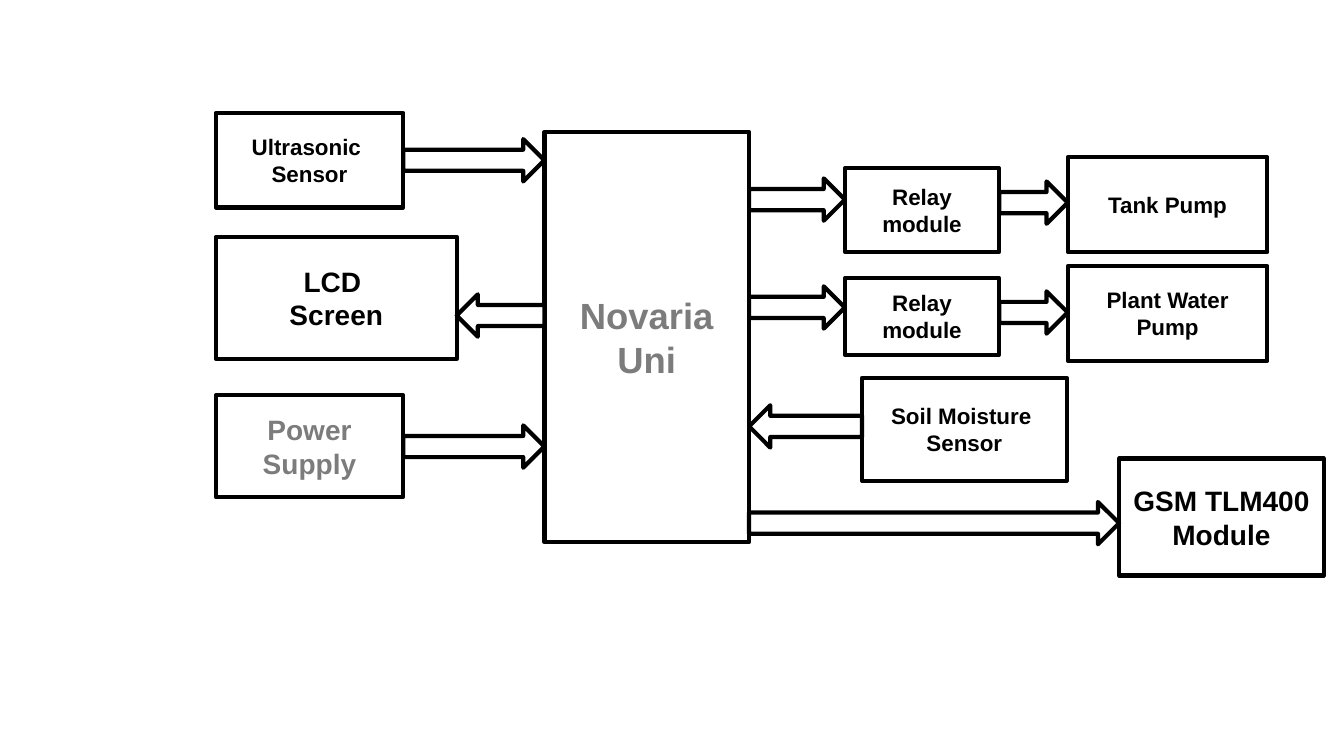
from pptx import Presentation
from pptx.dml.color import RGBColor
from pptx.enum.shapes import MSO_SHAPE as SHAPE
from pptx.enum.text import MSO_ANCHOR, PP_ALIGN
from pptx.util import Inches, Pt

COLORS = {"white": "FFFFFF", "black": "000000", "gray": "7C7C7C"}
FONT = "Arial"
ARROW_H = 0.42


def rgb(name):
    return RGBColor.from_string(COLORS[name])


def add_outlined(slide, kind, left, top, width, height):
    sp = slide.shapes.add_shape(kind, *map(Inches, (left, top, width, height)))
    sp.shadow.inherit = False
    sp.fill.solid()
    sp.fill.fore_color.rgb = rgb("white")
    sp.line.color.rgb = rgb("black")
    sp.line.width = Pt(3)
    return sp


def add_block(slide, box, text, size=16, color="black"):
    sp = add_outlined(slide, SHAPE.RECTANGLE, *box)
    tf = sp.text_frame
    tf.word_wrap = True
    tf.vertical_anchor = MSO_ANCHOR.MIDDLE
    tf.text = text
    for p in tf.paragraphs:
        p.alignment = PP_ALIGN.CENTER
        for r in p.runs:
            r.font.name = FONT
            r.font.size = Pt(size)
            r.font.bold = True
            r.font.color.rgb = rgb(color)


def add_arrow(slide, start, end, top):
    """Block arrow pointing from x = start to x = end."""
    kind = SHAPE.RIGHT_ARROW if end > start else SHAPE.LEFT_ARROW
    add_outlined(slide, kind, min(start, end), top, abs(end - start), ARROW_H)


def draw_controller(slide, box):
    add_block(slide, box, "Novaria Uni", 26, "gray")


def draw_left_devices(slide, box):
    x, y, w, h = box
    right = x + w
    narrow, wide = 1.86, 2.39
    add_block(slide, (x, y, narrow, 0.94), "Ultrasonic \nSensor")
    add_block(slide, (x, y + 1.23, wide, 1.21), "LCD \nScreen", 20)
    add_block(slide, (x, y + h - 1.01, narrow, 1.01), "Power Supply", 20, "gray")
    add_arrow(slide, x + narrow, right, y + 0.26)
    add_arrow(slide, right, x + wide, y + 1.8)
    add_arrow(slide, x + narrow, right, y + 3.1)


def draw_pump_row(slide, box, relay_top, relay_h, arrow_tops, pump):
    x, y, w, h = box
    relay_x, relay_w, pump_w = x + 0.95, 1.53, 1.98
    pump_x = x + w - pump_w
    add_block(slide, (relay_x, y + relay_top, relay_w, relay_h), "Relay module")
    add_block(slide, (pump_x, y, pump_w, h), pump)
    add_arrow(slide, x, relay_x, y + arrow_tops[0])
    add_arrow(slide, relay_x + relay_w, pump_x, y + arrow_tops[1])


def draw_right_devices(slide, box):
    x, y, w, h = box
    # Relay-driven pumps
    pumps_w, pump_h = 5.14, 0.94
    draw_pump_row(slide, (x, y, pumps_w, pump_h), 0.11, 0.83, (0.21, 0.24), "Tank Pump")
    draw_pump_row(slide, (x, y + 1.08, pumps_w, pump_h), 0.12, 0.76, (0.2, 0.25),
                  "Plant Water Pump")
    # Soil sensor and GSM module
    block_w, soil_x, gsm_x = 2.03, x + 1.12, x + w - 2.03
    add_block(slide, (soil_x, y + 2.19, block_w, 1.02), "Soil Moisture \nSensor")
    add_block(slide, (gsm_x, y + h - 1.16, block_w, 1.16), "GSM TLM400\nModule", 20)
    add_arrow(slide, soil_x, x, y + 2.46)
    add_arrow(slide, x, gsm_x, y + 3.42)


prs = Presentation()
prs.slide_width, prs.slide_height = Inches(13.33), Inches(7.5)
s = prs.slides.add_slide(prs.slide_layouts[6])
draw_controller(s, (5.4, 1.31, 2.03, 4.07))
draw_left_devices(s, (2.14, 1.12, 3.26, 3.81))
draw_right_devices(s, (7.43, 1.56, 5.7, 4.15))
prs.save("out.pptx")
